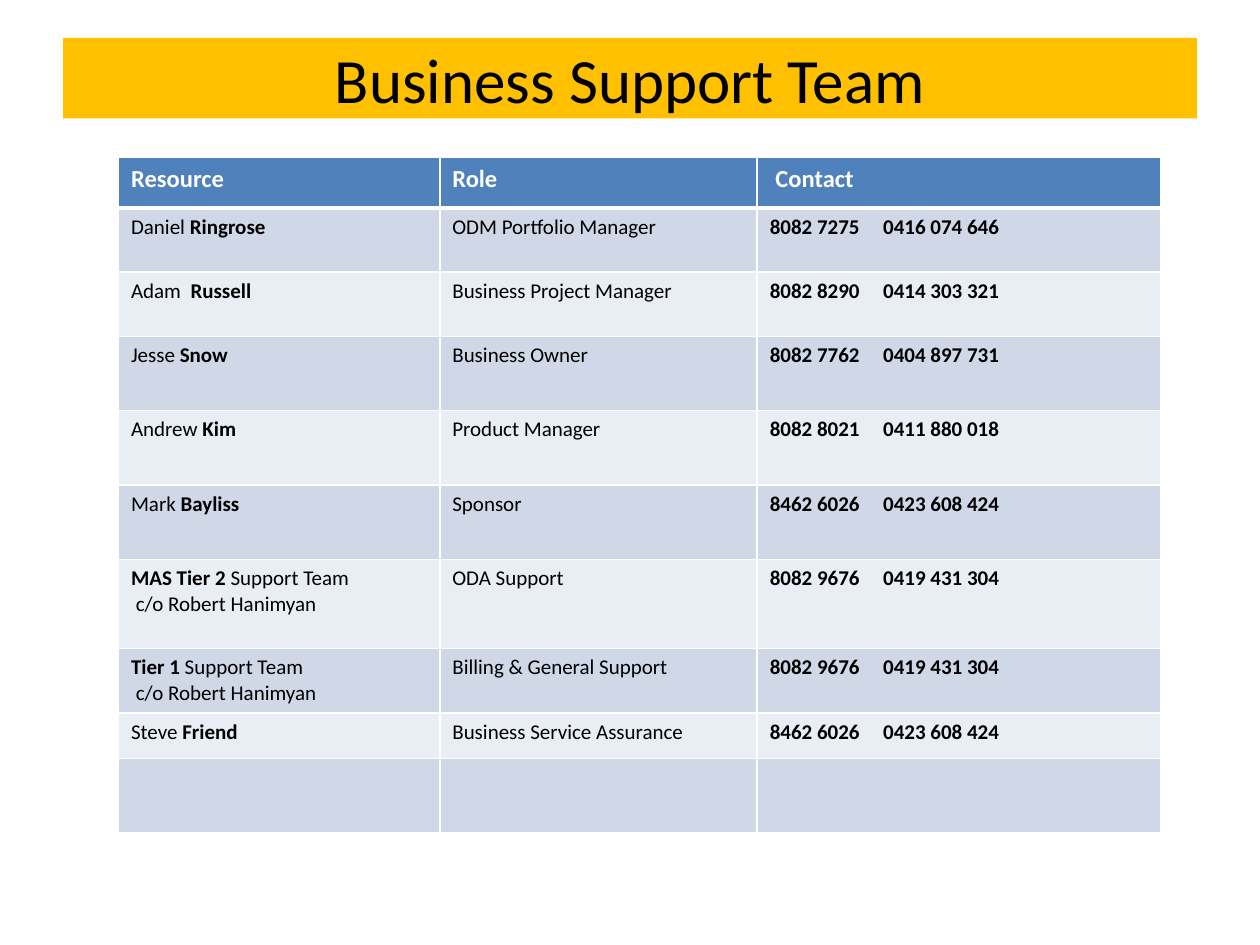
from lxml.etree import SubElement
from pptx import Presentation
from pptx.dml.color import RGBColor
from pptx.enum.text import MSO_ANCHOR, PP_ALIGN
from pptx.oxml.ns import qn
from pptx.util import Inches, Pt

FONT = "Calibri"
BLACK = RGBColor(0x00, 0x00, 0x00)
WHITE = RGBColor(0xFF, 0xFF, 0xFF)
AMBER = RGBColor(0xFF, 0xC0, 0x00)
BLUE = RGBColor(0x4F, 0x81, 0xBD)
BANDS = (RGBColor(0xD0, 0xD8, 0xE8), RGBColor(0xE9, 0xED, 0xF4))

# Content: asterisks enclose the bold part of a name
TITLE = "Business Support Team"
HEADERS = ("Resource", "Role", " Contact")
TEAM = [
    ("Daniel *Ringrose*", "ODM Portfolio Manager", "8082 7275", "0416 074 646"),
    ("Adam  *Russell*", "Business Project Manager", "8082 8290", "0414 303 321"),
    ("Jesse *Snow*", "Business Owner", "8082 7762", "0404 897 731"),
    ("Andrew *Kim*", "Product Manager", "8082 8021", "0411 880 018"),
    ("Mark *Bayliss*", "Sponsor", "8462 6026", "0423 608 424"),
    ("*MAS Tier 2* Support Team\n c/o Robert Hanimyan", "ODA Support",
     "8082 9676", "0419 431 304"),
    ("*Tier 1* Support Team\n c/o Robert Hanimyan", "Billing & General Support",
     "8082 9676", "0419 431 304"),
    ("Steve *Friend*", "Business Service Assurance", "8462 6026", "0423 608 424"),
]
COL_WIDTHS = (2.55, 2.52, 3.2)
ROW_HEIGHTS = (0.4, 0.51, 0.51, 0.59, 0.59, 0.59, 0.71, 0.51, 0.36, 0.59)
MOBILE_TAB = 0.9


def style_cell(cell, fill, bottom=1):
    """White borders first, then the fill, as the schema orders them."""
    tc_pr = cell._tc.get_or_add_tcPr()
    for side, width in (("L", 1), ("R", 1), ("T", 1), ("B", bottom)):
        line = SubElement(tc_pr, qn(f"a:ln{side}"), w=str(Pt(width)))
        color = SubElement(line, qn("a:solidFill"))
        SubElement(color, qn("a:srgbClr"), val=str(WHITE))
    cell.fill.solid()
    cell.fill.fore_color.rgb = fill


def write(cell, text, size=12, color=BLACK):
    tf = cell.text_frame
    for i, line in enumerate(text.split("\n")):
        p = tf.paragraphs[0] if i == 0 else tf.add_paragraph()
        for j, part in enumerate(line.split("*")):
            if part:
                r = p.add_run()
                r.text = part
                r.font.name, r.font.size = FONT, Pt(size)
                r.font.bold = j % 2 == 1
                r.font.color.rgb = color


def add_tab_stop(p, position):
    tabs = SubElement(p._p.get_or_add_pPr(), qn("a:tabLst"))
    SubElement(tabs, qn("a:tab"), pos=str(Inches(position)), algn="l")


prs = Presentation()
prs.slide_width, prs.slide_height = Inches(10), Inches(7.5)
s = prs.slides.add_slide(prs.slide_layouts[5])

# Title bar
title = s.shapes.title
title.left, title.top = Inches(0.5), Inches(0.3)
title.width, title.height = Inches(9), Inches(0.64)
title.fill.solid()
title.fill.fore_color.rgb = AMBER
tf = title.text_frame
tf.text = TITLE
tf.vertical_anchor = MSO_ANCHOR.MIDDLE
p = tf.paragraphs[0]
p.alignment = PP_ALIGN.CENTER
font = p.runs[0].font
font.name, font.size, font.color.rgb = FONT, Pt(36), BLACK

# Table grid
table = s.shapes.add_table(
    len(ROW_HEIGHTS), len(COL_WIDTHS), Inches(0.94), Inches(1.25),
    Inches(sum(COL_WIDTHS)), Inches(sum(ROW_HEIGHTS))).table
for column, width in zip(table.columns, COL_WIDTHS):
    column.width = Inches(width)
for i, (row, height) in enumerate(zip(table.rows, ROW_HEIGHTS)):
    row.height = Inches(height)
    for cell in row.cells:
        if i == 0:
            style_cell(cell, BLUE, bottom=3)
        else:
            style_cell(cell, BANDS[(i - 1) % 2])

# Table text; the last row stays empty
for cell, header in zip(table.rows[0].cells, HEADERS):
    write(cell, f"*{header}*", 14, WHITE)
for i, (name, role, phone, mobile) in enumerate(TEAM, start=1):
    write(table.cell(i, 0), name)
    write(table.cell(i, 1), role)
    contact = table.cell(i, 2)
    write(contact, f"*{phone}\t{mobile}*")
    add_tab_stop(contact.text_frame.paragraphs[0], MOBILE_TAB)

prs.save("out.pptx")
